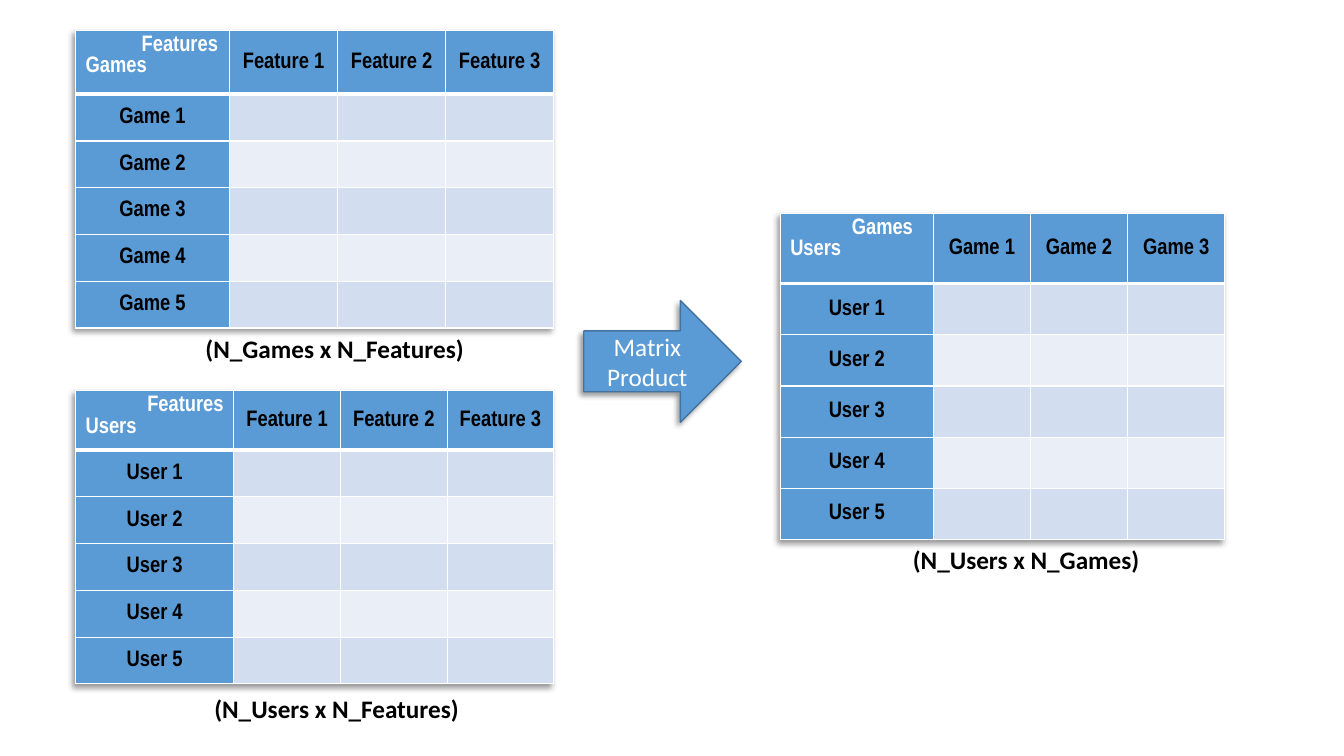
from lxml.etree import SubElement
from pptx import Presentation
from pptx.dml.color import RGBColor
from pptx.enum.shapes import MSO_SHAPE
from pptx.enum.text import MSO_ANCHOR, MSO_AUTO_SIZE, PP_ALIGN
from pptx.oxml.ns import qn
from pptx.util import Pt

BLUE, WHITE, BLACK = "5B9BD5", "FFFFFF", "000000"
BANDS = ("D2DEEF", "EAEFF7")


def color(hex_value):
    """Return the colour for a hex string."""
    return RGBColor.from_string(hex_value)


def add_run(p, text, size, font, hex_value, bold=False):
    """Append a formatted run to a paragraph."""
    r = p.add_run()
    r.text = text
    r.font.size = Pt(size)
    r.font.name = font
    r.font.bold = bold
    r.font.color.rgb = color(hex_value)


def add_shadow(effects):
    """Put a soft shadow, falling down and left, in an effect list."""
    shadow = SubElement(effects, qn("a:outerShdw"), blurRad=str(Pt(4)),
                        dist=str(Pt(3)), dir="8100000", algn="tr", rotWithShape="0")
    clr = SubElement(shadow, qn("a:srgbClr"), val=BLACK)
    SubElement(clr, qn("a:alpha"), val="40000")


def style_cell(cell, fill, top=1, bottom=1):
    """Give a cell white borders and a solid fill."""
    tcPr = cell._tc.get_or_add_tcPr()
    for side, width in (("L", 1), ("R", 1), ("T", top), ("B", bottom)):
        ln = SubElement(tcPr, qn(f"a:ln{side}"), w=str(Pt(width)))
        SubElement(SubElement(ln, qn("a:solidFill")), qn("a:srgbClr"), val=WHITE)
    cell.fill.solid()
    cell.fill.fore_color.rgb = color(fill)


def add_label(cell, text):
    """Write a centred row or column heading."""
    cell.vertical_anchor = MSO_ANCHOR.MIDDLE
    p = cell.text_frame.paragraphs[0]
    p.alignment = PP_ALIGN.CENTER
    add_run(p, text, 16, "Arial Narrow", BLACK, True)


def add_corner(cell, columns, rows, indent):
    """Write the column axis, indented, above the row axis."""
    p = cell.text_frame.paragraphs[0]
    pPr = p._p.get_or_add_pPr()
    pPr.set("marL", "0")
    pPr.set("indent", str(Pt(indent)))
    add_run(p, columns, 16, "Arial Narrow", WHITE, True)
    p.add_line_break()
    add_run(p, rows, 16, "Arial Narrow", WHITE, True)


def add_matrix(s, left, top, row_name, col_name, widths, heights, indent):
    """Add an empty five by three matrix with headings on both axes."""
    row_heights = [heights[0]] + [heights[1]] * 5
    col_widths = [widths[0]] + [widths[1]] * 3
    frame = s.shapes.add_table(6, 4, Pt(left), Pt(top),
                               Pt(sum(col_widths)), Pt(sum(row_heights)))
    table = frame.table
    table.horz_banding = False
    effects = SubElement(table._tbl.tblPr, qn("a:effectLst"))
    table._tbl.tblPr.insert(0, effects)
    add_shadow(effects)
    for column, width in zip(table.columns, col_widths):
        column.width = Pt(width)
    for i, height in enumerate(row_heights):
        table.rows[i].height = Pt(height)
        for j in range(4):
            cell = table.cell(i, j)
            fill = BLUE if i == 0 or j == 0 else BANDS[(i - 1) % 2]
            style_cell(cell, fill, 3 if i == 1 else 1, 3 if i == 0 else 1)
            if i == 0 and j == 0:
                add_corner(cell, f"{col_name}s", f"{row_name}s", indent)
            elif i == 0:
                add_label(cell, f"{col_name} {j}")
            elif j == 0:
                add_label(cell, f"{row_name} {i}")


def add_caption(s, left, top, width, text):
    """Add a bold line that gives a matrix's dimensions."""
    tf = s.shapes.add_textbox(Pt(left), Pt(top), Pt(width), Pt(29)).text_frame
    tf.word_wrap = True
    tf.auto_size = MSO_AUTO_SIZE.SHAPE_TO_FIT_TEXT
    add_run(tf.paragraphs[0], text, 18, "Calibri", BLACK, True)


def add_arrow(s, left, top, width, height, text):
    """Add a labelled block arrow with a shadow."""
    sp = s.shapes.add_shape(MSO_SHAPE.RIGHT_ARROW, Pt(left), Pt(top),
                            Pt(width), Pt(height))
    sp.fill.solid()
    sp.fill.fore_color.rgb = color(BLUE)
    sp.line.color.rgb = color("43739E")
    sp.line.width = Pt(1)
    sp.shadow.inherit = False
    add_shadow(sp._element.spPr.find(qn("a:effectLst")))
    tf = sp.text_frame
    tf.word_wrap = True
    tf.vertical_anchor = MSO_ANCHOR.MIDDLE
    p = tf.paragraphs[0]
    p.alignment = PP_ALIGN.CENTER
    add_run(p, text, 18, "Calibri", WHITE)


def main():
    """Build the matrix product slide."""
    prs = Presentation()
    prs.slide_width, prs.slide_height = Pt(960), Pt(540)
    s = prs.slides.add_slide(prs.slide_layouts[6])
    add_matrix(s, 54, 279, "User", "Feature", (113, 76.2), (42.5, 33.4), 44)
    add_matrix(s, 54, 21.6, "Game", "Feature", (110, 77.2), (45.7, 33.4), 40)
    add_caption(s, 146, 492, 191, "(N_Users x N_Features)")
    add_caption(s, 139.7, 234.7, 204, "(N_Games x N_Features)")
    add_arrow(s, 417, 214.6, 112.5, 87, "Matrix Product")
    add_matrix(s, 557.3, 152.4, "User", "Game", (109.4, 69.4), (50.2, 36.6), 44)
    add_caption(s, 645, 385.2, 194, "(N_Users x N_Games)")
    prs.save("out.pptx")


main()
